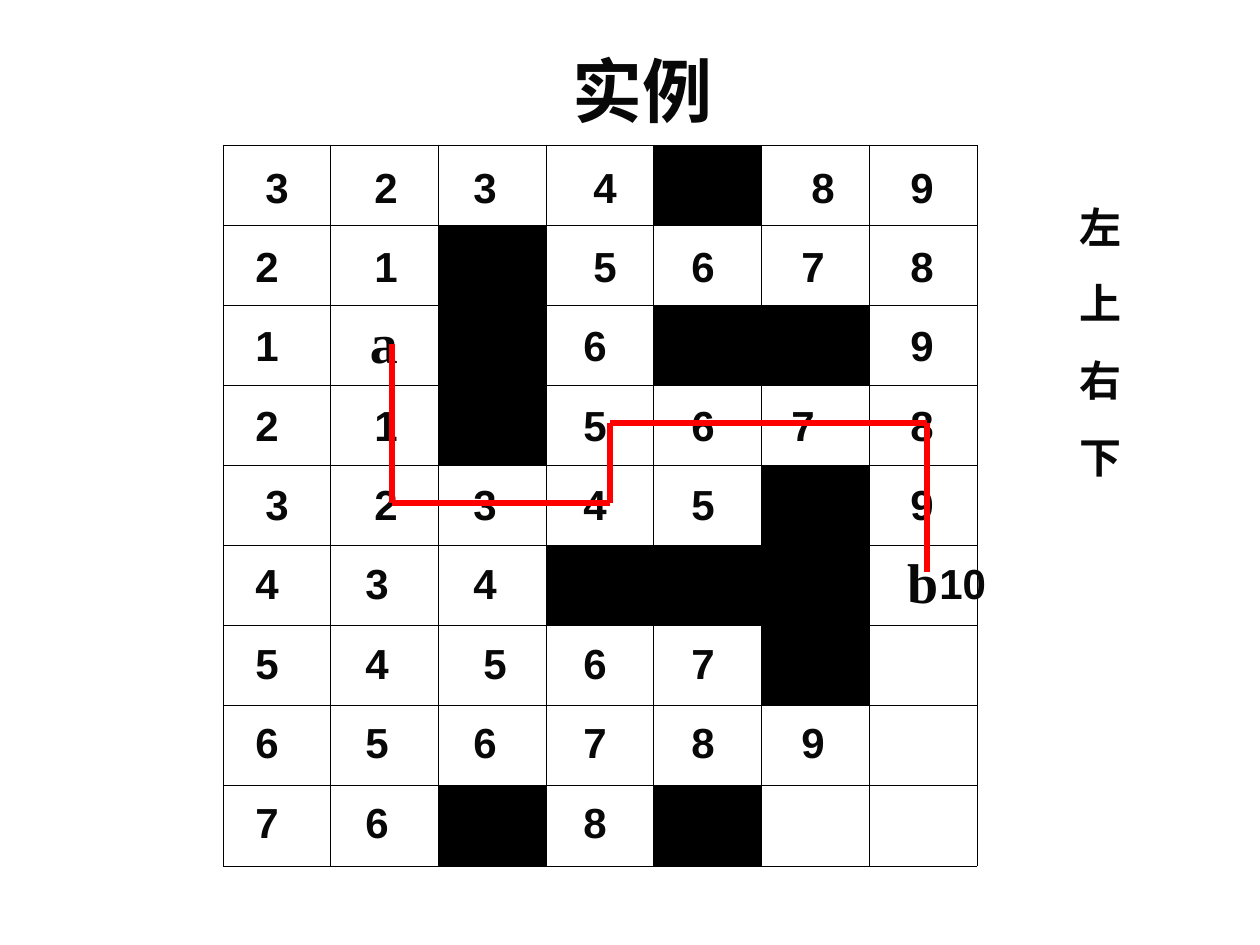
from itertools import pairwise

from lxml import etree
from pptx import Presentation
from pptx import util as u
from pptx.dml import color
from pptx.enum import shapes, text
from pptx.oxml import ns

SCALE = 914400 / 126
INK, BLACK, RED = "080808", "000000", "FF0000"

MAZE = [
    "3234#89",
    "21#5678",
    "1a#6##9",
    "21#5678",
    "32345#9",
    "434###b",
    "54567#.",
    "656789.",
    "76#8#..",
]
DISTANCE_LEFTS = [243, 353, 461, 571, 679, 789, 898]
NUDGES = {
    (0, 0): 10, (4, 0): 10,
    (0, 1): 9, (1, 1): 9, (3, 1): 9, (4, 1): 9,
    (6, 2): 10,
    (0, 3): 10, (1, 3): 10,
    (0, 5): 10, (3, 5): -10,
}
ROUTE = [
    (927, 572), (927, 503), (927, 423), (809, 423), (709, 423), (610, 423),
    (610, 503), (501, 503), (392, 503), (392, 413), (392, 344),
]


def px(length):
    return u.Emu(round(length * SCALE))


def rgb(value):
    return color.RGBColor.from_string(value)


def style(para, size, font="Arial"):
    for span in para.runs:
        span.font.name = font
        span.font.size = u.Pt(size)
        span.font.bold = True
        span.font.color.rgb = rgb(INK)


def add_text(page, left, top, width, height, lines, size=24):
    box = page.shapes.add_textbox(px(left), px(top), px(width), px(height))
    frame = box.text_frame
    frame.word_wrap = True
    frame.auto_size = text.MSO_AUTO_SIZE.SHAPE_TO_FIT_TEXT
    frame.text = "\n".join(lines)
    for index, para in enumerate(frame.paragraphs):
        if index:
            para.space_before = u.Pt(15)
        style(para, size)
    return frame


def add_title(page, words):
    frame = add_text(page, 54, 45, 1177, 89, [words], 40)
    frame.auto_size = text.MSO_AUTO_SIZE.NONE
    frame.vertical_anchor = text.MSO_ANCHOR.MIDDLE
    frame.paragraphs[0].alignment = text.PP_ALIGN.CENTER


def add_borders(cell):
    properties = cell._tc.get_or_add_tcPr()
    for side in ("lnL", "lnR", "lnT", "lnB"):
        line = etree.SubElement(properties, ns.qn(f"a:{side}"), w="762")
        fill = etree.SubElement(line, ns.qn("a:solidFill"))
        etree.SubElement(fill, ns.qn("a:srgbClr"), val=BLACK)


def share(items, attribute, total):
    for index, item in enumerate(items):
        start = total * index // len(items)
        end = total * (index + 1) // len(items)
        setattr(item, attribute, px(end - start))


def add_maze(page):
    frame = page.shapes.add_table(
        len(MAZE), len(MAZE[0]), px(223), px(145), px(754), px(721))
    table = frame.table
    table.first_row = table.horz_banding = False
    share(table.columns, "width", 754)
    share(table.rows, "height", 721)
    for row, marks in enumerate(MAZE):
        for column, mark in enumerate(marks):
            cell = table.cell(row, column)
            add_borders(cell)
            if mark == "#":
                cell.fill.solid()
                cell.fill.fore_color.rgb = rgb(BLACK)
            else:
                cell.fill.background()
            if mark.isalpha():
                cell.text_frame.text = mark
                cell.vertical_anchor = text.MSO_ANCHOR.MIDDLE
                para = cell.text_frame.paragraphs[0]
                para.alignment = text.PP_ALIGN.CENTER
                style(para, 32, "Times New Roman")


def distance_top(row):
    return 155 + 635 * row // 8


def add_distances(page):
    for row, marks in enumerate(MAZE):
        for column, mark in enumerate(marks):
            if mark.isdigit():
                left = DISTANCE_LEFTS[column] + NUDGES.get((row, column), 0)
                add_text(page, left, distance_top(row), 49, 63, [mark])
    add_text(page, 927, distance_top(5), 79, 63, ["10"])


def add_route(page):
    for start, end in pairwise(ROUTE):
        step = page.shapes.add_connector(
            shapes.MSO_CONNECTOR.STRAIGHT, *map(px, start + end))
        step.line.color.rgb = rgb(RED)
        step.line.width = u.Pt(3)
        etree.SubElement(step._element.spPr, ns.qn("a:effectLst"))


def main():
    deck = Presentation()
    deck.slide_width, deck.slide_height = px(1260), px(945)
    page = deck.slides.add_slide(deck.slide_layouts[6])
    add_title(page, "实例")
    add_maze(page)
    add_text(page, 1067, 195, 79, 294, ["左", "上", "右", "下"])
    add_distances(page)
    add_route(page)
    deck.save("out.pptx")


if __name__ == "__main__":
    main()
